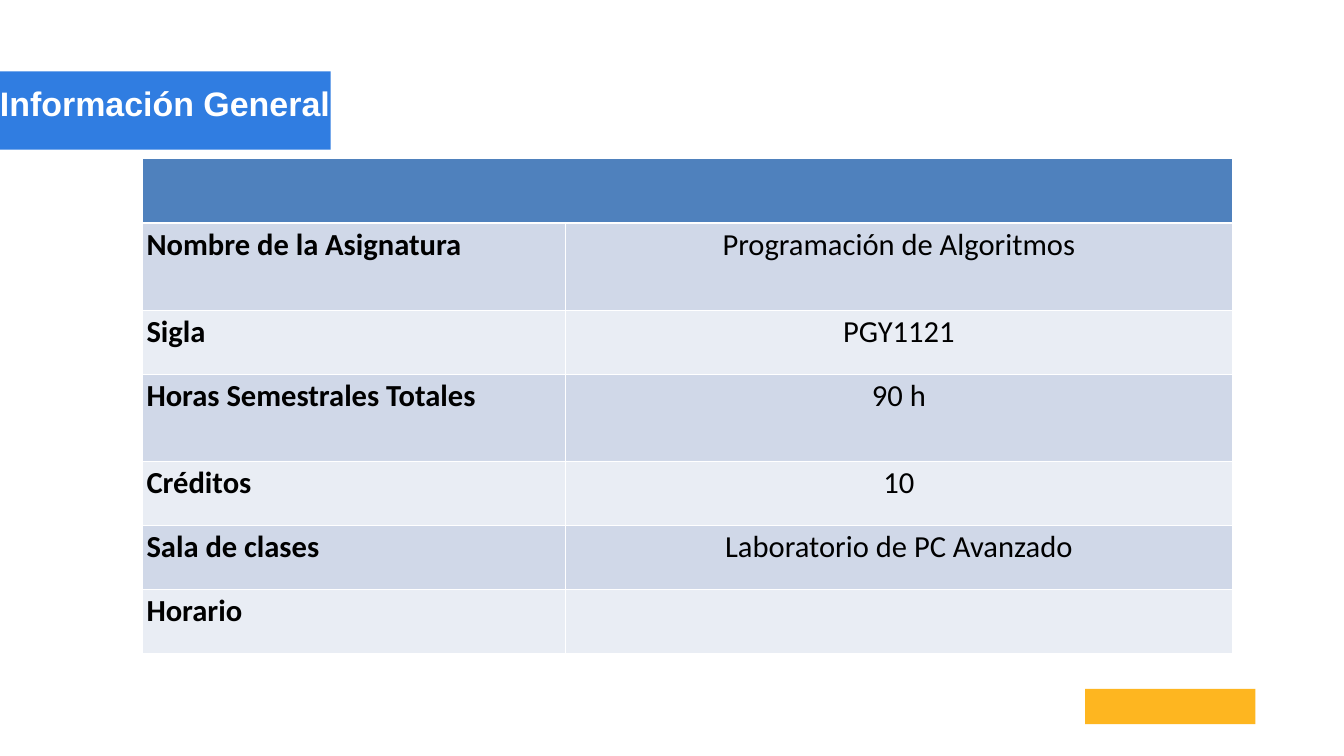
from dataclasses import dataclass

from lxml.etree import SubElement
from pptx import Presentation
from pptx.dml.color import RGBColor as RGB
from pptx.enum.shapes import MSO_SHAPE as SHAPE
from pptx.enum.text import PP_ALIGN as ALIGN
from pptx.oxml.ns import qn
from pptx.util import Cm, Pt


@dataclass(frozen=True)
class Theme:
    banner: str = "307DE1"
    header: str = "4F81BD"
    bands: tuple = ("D0D8E8", "E9EDF4")
    border: str = "FFFFFF"
    mark: str = "FEB620"
    light: str = "FFFFFF"
    dark: str = "000000"
    title_font: str = "Arial"
    table_font: str = "Calibri"
    title_size: int = 40
    table_size: int = 36
    thin: int = 1
    thick: int = 3


ROWS = [
    ("Nombre de la Asignatura", "Programación de Algoritmos"),
    ("Sigla", "PGY1121"),
    ("Horas Semestrales Totales", "90 h"),
    ("Créditos", "10"),
    ("Sala de clases", "Laboratorio de PC Avanzado"),
    ("Horario", ""),
]
COL_WIDTHS = (17.58, 27.71)
SHORT, TALL = 2.67, 3.61
ROW_HEIGHTS = (SHORT, TALL, SHORT, TALL, SHORT, SHORT, SHORT)


class SlideBuilder:
    def __init__(self, s, theme):
        self.s = s
        self.theme = theme

    def rect(self, x, y, w, h, color):
        sp = self.s.shapes.add_shape(SHAPE.RECTANGLE, Cm(x), Cm(y), Cm(w), Cm(h))
        sp.shadow.inherit = False
        sp.fill.solid()
        sp.fill.fore_color.rgb = RGB.from_string(color)
        sp.line.fill.background()

    def add_text(self, p, text, color, **font):
        r = p.add_run()
        r.text = text
        for name, value in font.items():
            setattr(r.font, name, value)
        r.font.color.rgb = RGB.from_string(color)

    def title(self, x, y, w, h, text):
        tf = self.s.shapes.add_textbox(Cm(x), Cm(y), Cm(w), Cm(h)).text_frame
        frame = dict(word_wrap=True, margin_left=0, margin_right=0,
                     margin_top=0, margin_bottom=0)
        for name, value in frame.items():
            setattr(tf, name, value)
        t = self.theme
        self.add_text(tf.paragraphs[0], text, t.light, name=t.title_font,
                      size=Pt(t.title_size), bold=True)

    def borders(self, cell, top, bottom):
        """Draw the four cell borders; they must precede the fill in tcPr."""
        tc_pr = cell._tc.get_or_add_tcPr()
        thin = self.theme.thin
        widths = {"a:lnL": thin, "a:lnR": thin, "a:lnT": top, "a:lnB": bottom}
        for i, (tag, width) in enumerate(widths.items()):
            ln = SubElement(tc_pr, qn(tag), w=str(Pt(width)))
            fill = SubElement(ln, qn("a:solidFill"))
            SubElement(fill, qn("a:srgbClr"), val=self.theme.border)
            tc_pr.insert(i, ln)

    def table(self, x, y, rows):
        """Add a merged, empty header above banded label and value rows."""
        t = self.theme
        tbl = self.s.shapes.add_table(
            len(ROW_HEIGHTS), len(COL_WIDTHS), Cm(x), Cm(y),
            Cm(sum(COL_WIDTHS)), Cm(sum(ROW_HEIGHTS))).table
        for col, width in zip(tbl.columns, COL_WIDTHS):
            col.width = Cm(width)
        for row, height in zip(tbl.rows, ROW_HEIGHTS):
            row.height = Cm(height)
        tbl.cell(0, 0).merge(tbl.cell(0, 1))

        for i, texts in enumerate([("", "")] + rows):
            color = t.bands[(i - 1) % 2] if i else t.header
            for j, text in enumerate(texts):
                cell = tbl.cell(i, j)
                cell.margin_left = cell.margin_right = Cm(0.17)
                cell.fill.solid()
                cell.fill.fore_color.rgb = RGB.from_string(color)
                self.borders(cell, top=t.thick if i == 1 else t.thin,
                             bottom=t.thick if i == 0 else t.thin)
                if text:
                    p = cell.text_frame.paragraphs[0]
                    p.alignment = ALIGN.CENTER if j else ALIGN.LEFT
                    self.add_text(p, text, t.dark, name=t.table_font,
                                  size=Pt(t.table_size), bold=j == 0)


def main():
    prs = Presentation()
    prs.slide_width, prs.slide_height = Cm(55.85), Cm(31.42)
    theme = Theme()
    b = SlideBuilder(prs.slides.add_slide(prs.slide_layouts[6]), theme)
    b.rect(45.09, 28.63, 7.08, 1.47, theme.mark)
    b.rect(0, 2.97, 13.74, 3.25, theme.banner)
    b.table(5.92, 6.6, ROWS)
    b.title(0, 3.43, 14.81, 1.7, "Información General")
    prs.save("out.pptx")


if __name__ == "__main__":
    main()
